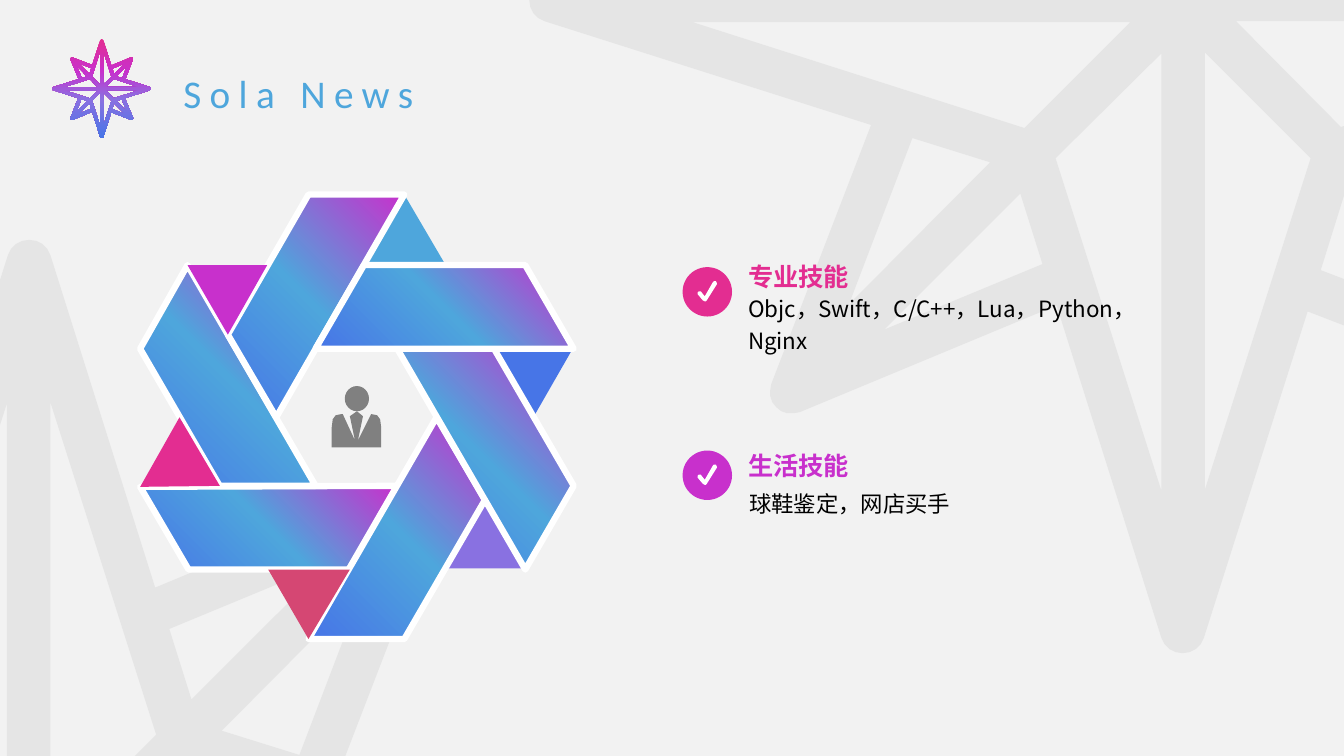
from math import cos, radians, sin

from lxml.etree import SubElement
from pptx import Presentation
from pptx.dml.color import RGBColor
from pptx.enum.shapes import MSO_SHAPE
from pptx.enum.text import MSO_ANCHOR
from pptx.oxml.ns import qn
from pptx.util import Pt

PX = 9144  # 100 px to the inch
BLUE, PURPLE, PINK, INDIGO, LILAC, ROSE = (
    "4EA6DC", "C830CC", "E32D91", "4775E7", "8971E1", "D54773")
BAND_STOPS = [(0, PURPLE), (50, BLUE), (100, INDIGO)]
STAR_STOPS = [(0, PINK), (32, PURPLE), (61, LILAC), (100, INDIGO)]
CJK = "Noto Sans CJK SC"


def color(value):
    return RGBColor.from_string(value)


def turn(points, angle):
    """Rotate points about the origin by an angle in degrees."""
    c, s = cos(radians(angle)), sin(radians(angle))
    return [(x * c - y * s, x * s + y * c) for x, y in points]


def arc(x, y, radius, start, end, steps=8):
    angles = [radians(start + (end - start) * i / steps) for i in range(steps + 1)]
    return [(x + radius * cos(a), y + radius * sin(a)) for a in angles]


def star_paths():
    """Outline and holes of the eight-pointed star, one quarter turned four times."""
    quarter = (arc(626, 0, 22, -72, 72) + [(303, 125)]
               + arc(389, 388, 21.5, -22, 112) + [(124, 309)])
    holes = [
        [(327, 296), (192, 161), (262, 139)],
        [(137, 268), (161, 191), (302, 331)],
        [(22, 486), (22, 52), (127, 157)],
        [(157, 126), (53, 21), (487, 21)],
    ]
    turns = (0, 90, 180, 270)
    outline = [point for angle in turns for point in turn(quarter, angle)]
    return [outline] + [turn(hole, angle) for angle in turns for hole in holes]


class Page:
    def __init__(self, deck, background):
        self.slide = deck.slides.add_slide(deck.slide_layouts[6])
        self.shapes = self.slide.shapes
        self.slide.background.fill.solid()
        self.slide.background.fill.fore_color.rgb = color(background)

    def paint(self, shape, fill, alpha=None, line=None):
        shape.shadow.inherit = False
        shape.fill.solid()
        shape.fill.fore_color.rgb = color(fill)
        if alpha:
            tint = next(shape._element.spPr.iter(qn("a:srgbClr")))
            SubElement(tint, qn("a:alpha")).set("val", str(alpha * 1000))
        if line:
            shape.line.color.rgb = color(line)
            shape.line.width = Pt(4.5)
        else:
            shape.line.fill.background()

    def blend(self, shape, stops, angle):
        shape.fill.gradient()
        shape.fill.gradient_angle = 360 - angle
        stop_list = next(shape._element.spPr.iter(qn("a:gsLst")))
        for old in list(stop_list):
            stop_list.remove(old)
        for position, value in stops:
            stop = SubElement(stop_list, qn("a:gs"), pos=str(position * 1000))
            SubElement(stop, qn("a:srgbClr"), val=value)

    def outline(self, paths, fill, origin=(0, 0), unit=1, **style):
        builder = self.shapes.build_freeform(*paths[0][0], scale=PX * unit)
        builder.add_line_segments(paths[0][1:], close=True)
        for path in paths[1:]:
            builder.move_to(*path[0])
            builder.add_line_segments(path[1:], close=True)
        shape = builder.convert_to_shape(*(value * PX for value in origin))
        self.paint(shape, fill, **style)
        return shape

    def oval(self, left, top, width, height, fill):
        box = (value * PX for value in (left, top, width, height))
        self.paint(self.shapes.add_shape(MSO_SHAPE.OVAL, *box), fill)

    def text(self, left, top, width, height, words, size, fill, font=CJK, bold=False,
             wrap=False, middle=False, inset=(16, 0), leading=None, spacing=None):
        box = self.shapes.add_textbox(*(v * PX for v in (left, top, width, height)))
        frame = box.text_frame
        frame.word_wrap = wrap
        frame.margin_left = frame.margin_right = inset[0] * PX
        frame.margin_top = frame.margin_bottom = inset[1] * PX
        if middle:
            frame.vertical_anchor = MSO_ANCHOR.MIDDLE
        para = frame.paragraphs[0]
        para.text = words
        if leading:
            para.line_spacing = leading
        para.font.size = Pt(size)
        para.font.bold = bold
        para.font.name = font
        para.font.color.rgb = color(fill)
        properties = para._p.pPr.find(qn("a:defRPr"))
        SubElement(properties, qn("a:ea"), typeface=font)
        if spacing:
            properties.set("spc", str(spacing * 100))


def main():
    deck = Presentation()
    deck.slide_width, deck.slide_height = 1333 * PX, 750 * PX
    page = Page(deck, "F2F2F2")

    # Large pale stars behind everything
    star = star_paths()
    for centre in ((29, 886), (1173, 0)):
        page.outline(star, "D9D9D9", centre, alpha=50)

    # Person in the middle of the knot
    page.oval(342, 383, 24, 25, "808080")
    page.outline([[(369, 411), (368, 411), (355, 437), (360, 413), (354, 408), (347, 413),
                   (352, 437), (340, 411), (338, 411), (333, 412), (330, 416), (329, 424),
                   (329, 444), (378, 444), (378, 424), (377, 416), (374, 412)]], "808080")

    # Knot from back to front: bands have no colour of their own, corners do
    knot = [
        (None, [(394, 482), (139, 483), (187, 565), (347, 565)]),
        (LILAC, [(481, 496), (442, 564), (520, 564)]),
        (None, [(433, 414), (306, 634), (401, 634), (481, 496)]),
        (INDIGO, [(490, 346), (529, 414), (568, 346)]),
        (BLUE, [(442, 263), (401, 193), (361, 263)]),
        (None, [(394, 346), (521, 565), (569, 482), (490, 346)]),
        (ROSE, [(347, 565), (266, 565), (306, 634)]),
        (None, [(313, 482), (186, 263), (139, 346), (218, 482)]),
        (PINK, [(218, 482), (178, 414), (139, 483)]),
        (None, [(274, 414), (401, 193), (306, 193), (226, 332)]),
        (PURPLE, [(265, 263), (186, 263), (226, 332)]),
        (None, [(313, 346), (569, 346), (521, 263), (361, 263)]),
    ]
    for fill, points in knot:
        if fill:
            page.outline([points], fill)
        else:
            band = page.outline([points], BLUE, line="FFFFFF")
            page.blend(band, BAND_STOPS, 135)

    # Skills, each with a ticked badge
    tick = [(22, 34), (20, 33), (15, 27), (15, 25), (16, 24), (18, 24), (22, 29),
            (30, 15), (31, 14), (33, 14), (34, 16), (34, 17), (24, 33), (23, 34)]
    skills = [
        (265, PINK, "专业技能", 259, "Objc，Swift，C/C++，Lua，Python，Nginx", 726, 287),
        (447, PURPLE, "生活技能", 447, "球鞋鉴定，网店买手", 727, 481),
    ]
    for badge_top, fill, heading, heading_top, detail, detail_left, detail_top in skills:
        page.oval(677, badge_top, 49, 49, fill)
        page.outline([tick], "FFFFFF", (677, badge_top))
        page.text(726, heading_top, 456, 30, heading, 18, fill, bold=True, middle=True)
        page.text(detail_left, detail_top, 456, 60, detail, 16, "000000",
                  wrap=True, leading=1.2)

    # Title with its small star
    page.text(172, 64, 271, 57, "Sola News", 28, BLUE, font="Calibri",
              inset=(10, 5), spacing=6)
    emblem = page.outline(star, PURPLE, (101, 88), unit=0.0757)
    page.blend(emblem, STAR_STOPS, 90)

    deck.save("out.pptx")


if __name__ == "__main__":
    main()
